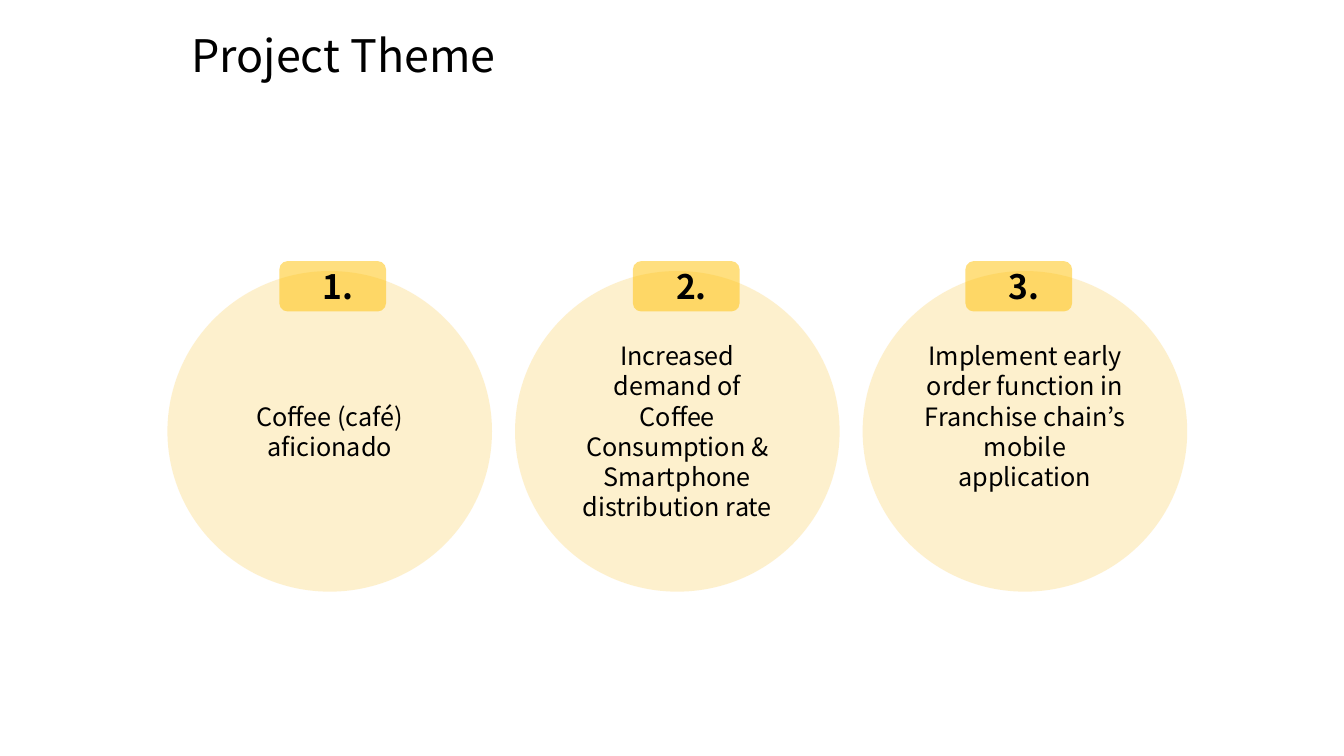
from lxml import etree
from pptx import Presentation
from pptx import util as u
from pptx.dml.color import RGBColor
from pptx.enum import shapes, text
from pptx.oxml.ns import qn


def write_text(shape, lines, size, bold=False, align=text.PP_ALIGN.LEFT,
               anchor=text.MSO_ANCHOR.TOP):
    frame = shape.text_frame
    frame.word_wrap = True
    frame.vertical_anchor = anchor
    frame.text = "\n".join(lines)
    for paragraph in frame.paragraphs:
        paragraph.alignment = align
        font = paragraph.runs[0].font
        font.name = "Noto Sans CJK KR"
        font.size = u.Pt(size)
        font.bold = bold
        font.color.rgb = RGBColor.from_string("000000")


def add_tinted(kind, left, top, width, height, color):
    """Add a borderless shape with a half-transparent fill."""
    shape = slide.shapes.add_shape(kind, u.Cm(left), u.Cm(top), u.Cm(width), u.Cm(height))
    shape.shadow.inherit = False
    shape.line.fill.background()
    shape.fill.solid()
    shape.fill.fore_color.rgb = RGBColor.from_string(color)
    fill_color = shape.fill._xPr.find(qn("a:solidFill"))[0]
    etree.SubElement(fill_color, qn("a:alpha"), val="50000")
    return shape


presentation = Presentation()
presentation.slide_width = u.Cm(33.87)
presentation.slide_height = u.Cm(19.05)
slide = presentation.slides.add_slide(presentation.slide_layouts[5])

# Title
title = slide.shapes.title
title.left, title.top = u.Cm(4.57), u.Cm(0.56)
title.width, title.height = u.Cm(10.39), u.Cm(1.63)
write_text(title, ["Project Theme"], 32)
title.text_frame.auto_size = text.MSO_AUTO_SIZE.SHAPE_TO_FIT_TEXT

# Theme circles: text lines and bottom inset
themes = [
    (["Coffee (café) aficionado"], 0.13),
    (["Increased demand of", "Coffee Consumption & Smartphone distribution rate"], 0.13),
    (["Implement early order function in Franchise chain’s mobile application"], 0.89),
]
for index, (lines, bottom_inset) in enumerate(themes):
    circle = add_tinted(shapes.MSO_SHAPE.OVAL, 4.22 + 8.76 * index, 6.83, 8.18, 8.08, "FDE29D")
    write_text(circle, lines, 18, align=text.PP_ALIGN.CENTER, anchor=text.MSO_ANCHOR.MIDDLE)
    circle.text_frame.margin_bottom = u.Cm(bottom_inset)

# Numbered badges
badge_top, badge_height = 6.58, 1.27
for number, badge_left in enumerate([7.04, 15.95, 24.33], start=1):
    add_tinted(shapes.MSO_SHAPE.ROUNDED_RECTANGLE, badge_left, badge_top, 2.69, badge_height, "FFC000")
    label = slide.shapes.add_textbox(u.Cm(badge_left + 0.84), u.Cm(badge_top),
                                     u.Cm(3.02), u.Cm(badge_height))
    write_text(label, [f"{number}."], 24, bold=True)
    label.text_frame.auto_size = text.MSO_AUTO_SIZE.SHAPE_TO_FIT_TEXT

presentation.save("out.pptx")
